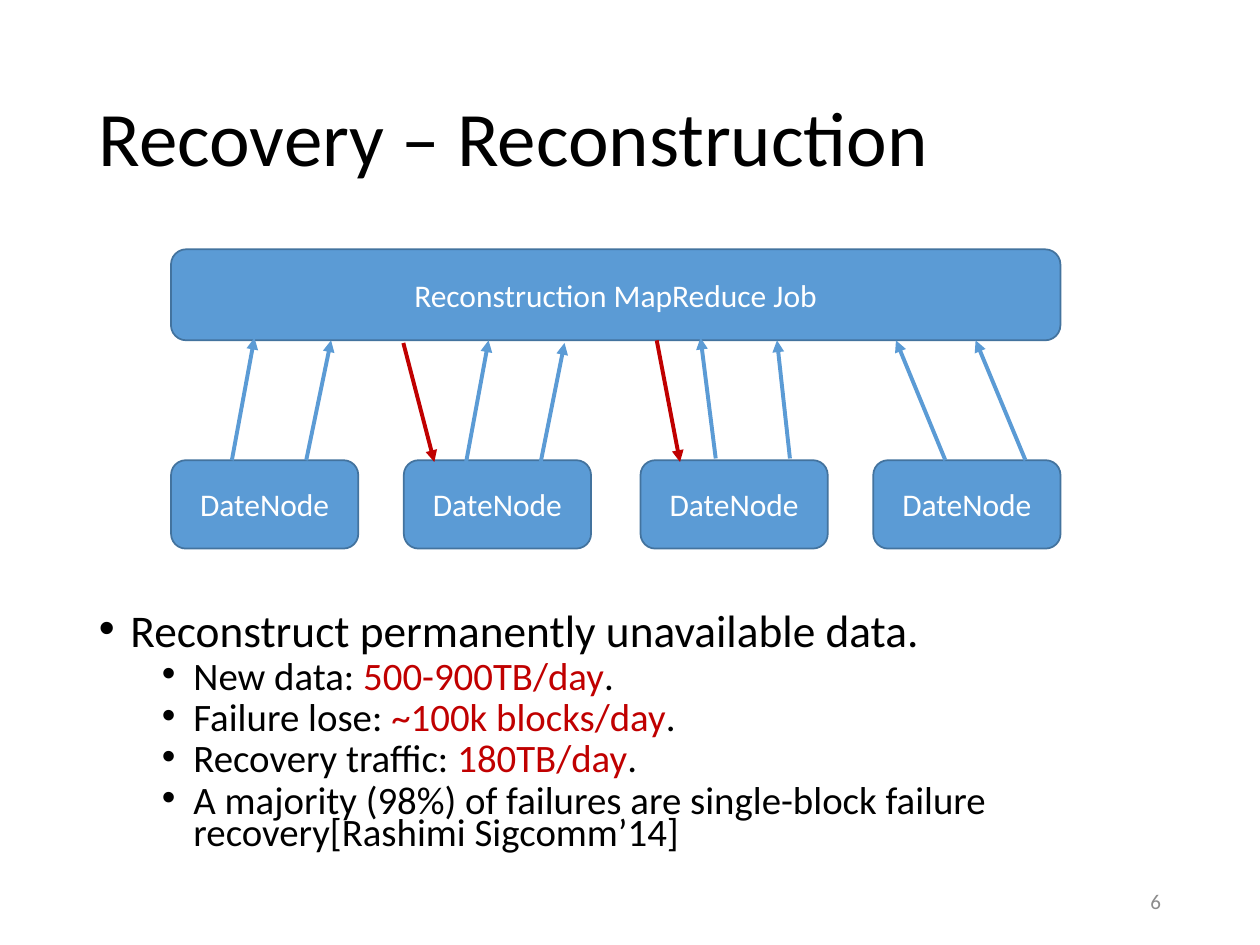
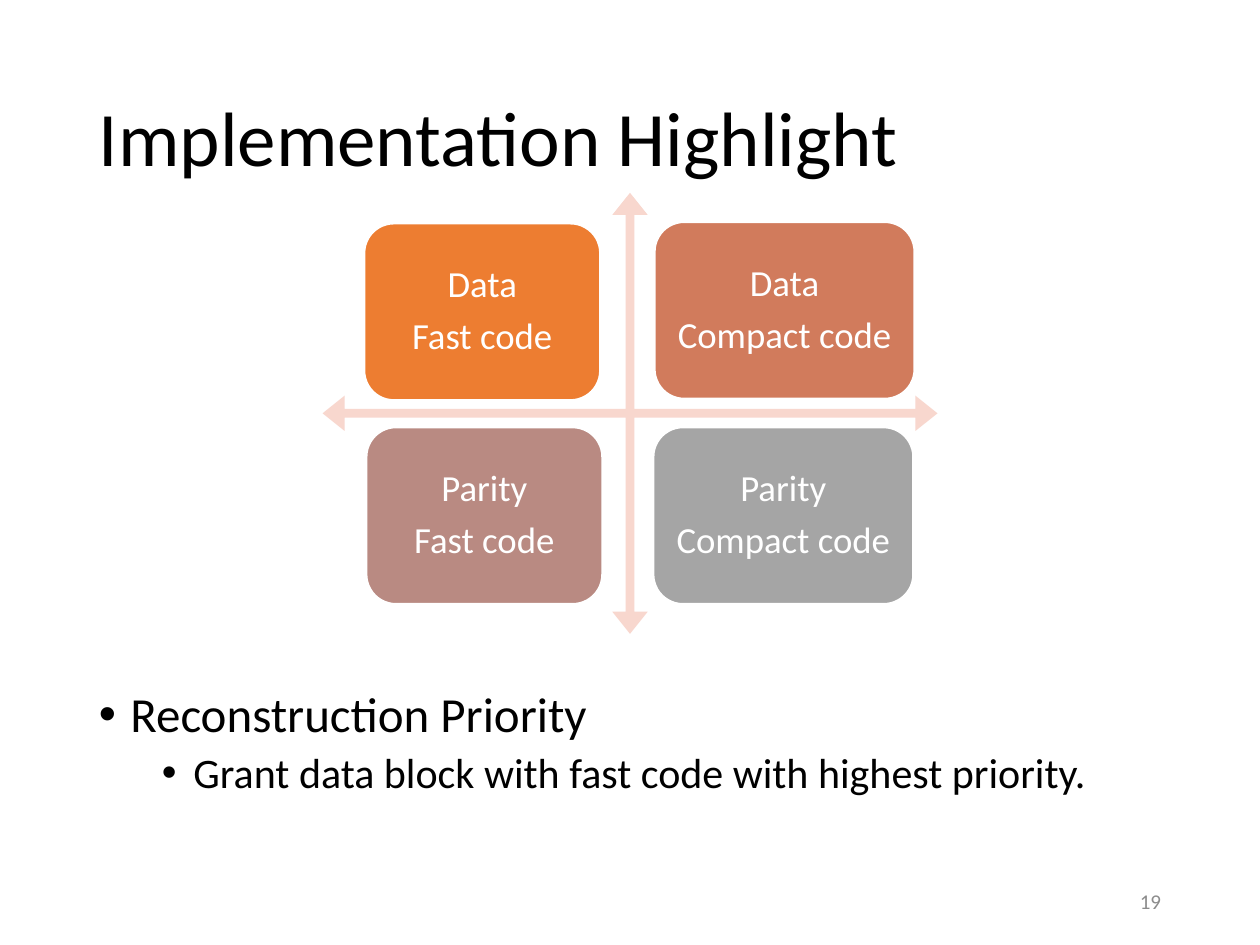
from lxml import etree
from pptx import Presentation
from pptx.dml.color import RGBColor
from pptx.enum import shapes, text
from pptx.oxml import ns
from pptx.util import Pt

BLACK, WHITE, GREY = "000000", "FFFFFF", "8C8C8C"
BLUE, DARK_BLUE, RED = "5B9BD5", "43739E", "C00000"
PALE = "F8D7CE"
FONT = "Calibri"
LEFT, CENTER, RIGHT = text.PP_ALIGN.LEFT, text.PP_ALIGN.CENTER, text.PP_ALIGN.RIGHT
ROUNDED = shapes.MSO_SHAPE.ROUNDED_RECTANGLE
hue = RGBColor.from_string


def write(box, words, size, color=BLACK, accent=RED, align=LEFT, spacing=1.0,
          before=0, after=0, bullet_at=None):
    frame = box.text_frame
    para = frame.paragraphs[0]
    if para.runs:
        para = frame.add_paragraph()
        para.space_before = Pt(before)
    para.alignment = align
    para.line_spacing = spacing
    para.space_after = Pt(after)
    if bullet_at is not None:
        properties = para._p.get_or_add_pPr()
        properties.set("marL", str(Pt(bullet_at + 18)))
        properties.set("indent", str(Pt(-18)))
        etree.SubElement(properties, ns.qn("a:buFont")).set("typeface", "Arial")
        etree.SubElement(properties, ns.qn("a:buChar")).set("char", "•")
    for index, part in enumerate(words.split("|")):
        span = para.add_run()
        span.text = part
        span.font.name = FONT
        span.font.size = Pt(size)
        span.font.color.rgb = hue(accent if index % 2 else color)


def place(page, left, top, width, height, kind=None, fill=None, line=None,
          anchor=text.MSO_ANCHOR.MIDDLE):
    area = Pt(left), Pt(top), Pt(width), Pt(height)
    if kind is None:
        box = page.shapes.add_textbox(*area)
    else:
        box = page.shapes.add_shape(kind, *area)
        box.shadow.inherit = False
        box.fill.solid()
        box.fill.fore_color.rgb = hue(fill)
        if line:
            box.line.color.rgb = hue(line)
            box.line.width = Pt(1)
        else:
            box.line.fill.background()
    box.text_frame.word_wrap = True
    box.text_frame.vertical_anchor = anchor
    return box


deck = Presentation()
deck.slide_width, deck.slide_height = Pt(720), Pt(540)

pages = []
for title, number in (("Recovery – Reconstruction", "6"), ("Implementation Highlight", "19")):
    page = deck.slides.add_slide(deck.slide_layouts[6])
    write(place(page, 49.5, 28.75, 621, 104.4), title, 44, spacing=0.9)
    write(place(page, 508.5, 500.5, 162, 28.75), number, 12, color=GREY, align=RIGHT)
    pages.append(page)
recovery, highlight = pages

body = place(recovery, 49.5, 349.2, 621, 152.6, anchor=text.MSO_ANCHOR.TOP)
write(body, "Reconstruct permanently unavailable data.", 25.9, spacing=0.7, bullet_at=0)
for fact in (
    "New data: |500-900TB/day|.",
    "Failure lose: |~100k blocks/day|.",
    "Recovery traffic: |180TB/day|.",
    "A majority (98%) of failures are single-block failure recovery[Rashimi Sigcomm’14]",
):
    write(body, fact, 22.2, spacing=0.7, before=5, bullet_at=36)

for left in (97.75, 230.75, 366, 499):
    node = place(recovery, left, 263, 107, 50.5, ROUNDED, BLUE, DARK_BLUE)
    write(node, "DateNode", 18, color=WHITE, align=CENTER)
job = place(recovery, 97.75, 142.5, 508.25, 52, ROUNDED, BLUE, DARK_BLUE)
write(job, "Reconstruction MapReduce Job", 18, color=WHITE, align=CENTER)

reads = (
    (132.5, 263, 145.4, 193), (175, 263, 189.2, 194.5),
    (266.4, 264, 279.2, 194.5), (309, 264, 322.6, 196),
    (540.2, 263, 512, 194.5), (586, 263, 557.5, 194.5),
    (409, 262, 400.3, 193), (451.4, 262, 444, 194.5),
)
writes = ((230.5, 196, 248.2, 264), (375.3, 194.5, 388.6, 264))
for color, routes in ((BLUE, reads), (RED, writes)):
    for route in routes:
        arrow = recovery.shapes.add_connector(
            shapes.MSO_CONNECTOR.STRAIGHT, *[Pt(value) for value in route])
        arrow.line.color.rgb = hue(color)
        arrow.line.width = Pt(2.25)
        drawing = arrow._element.spPr
        etree.SubElement(drawing.find(ns.qn("a:ln")), ns.qn("a:tailEnd")).set("type", "triangle")
        etree.SubElement(drawing, ns.qn("a:effectLst"))

body = place(highlight, 49.5, 391, 621, 95.75, anchor=text.MSO_ANCHOR.TOP)
write(body, "Reconstruction Priority", 28, spacing=0.9, bullet_at=0)
write(body, "Grant data block with fast code with highest priority.", 24,
      spacing=0.9, before=5, bullet_at=36)

axes = place(highlight, 184.3, 110.2, 351.4, 252, shapes.MSO_SHAPE.QUAD_ARROW, PALE)
for index, value in enumerate((0.02, 0.04, 0.05)):
    axes.adjustments[index] = value

for left, top, width, fill, block, code in (
    (208.3, 127.8, 134.6, "ED7D31", "Data", "Fast code"),
    (374.2, 127, 148.3, "D17B5C", "Data", "Compact code"),
    (209.5, 244.3, 134.6, "B98A82", "Parity", "Fast code"),
    (373.5, 244.3, 148.3, "A5A5A5", "Parity", "Compact code"),
):
    tile = place(highlight, left, top, width, 100.8, ROUNDED, fill, WHITE)
    frame = tile.text_frame
    frame.margin_left = frame.margin_right = frame.margin_top = frame.margin_bottom = Pt(6.3)
    write(tile, block, 21, color=WHITE, align=CENTER, spacing=0.9, after=7.35)
    write(tile, code, 21, color=WHITE, align=CENTER, spacing=0.9)

deck.save("out.pptx")
